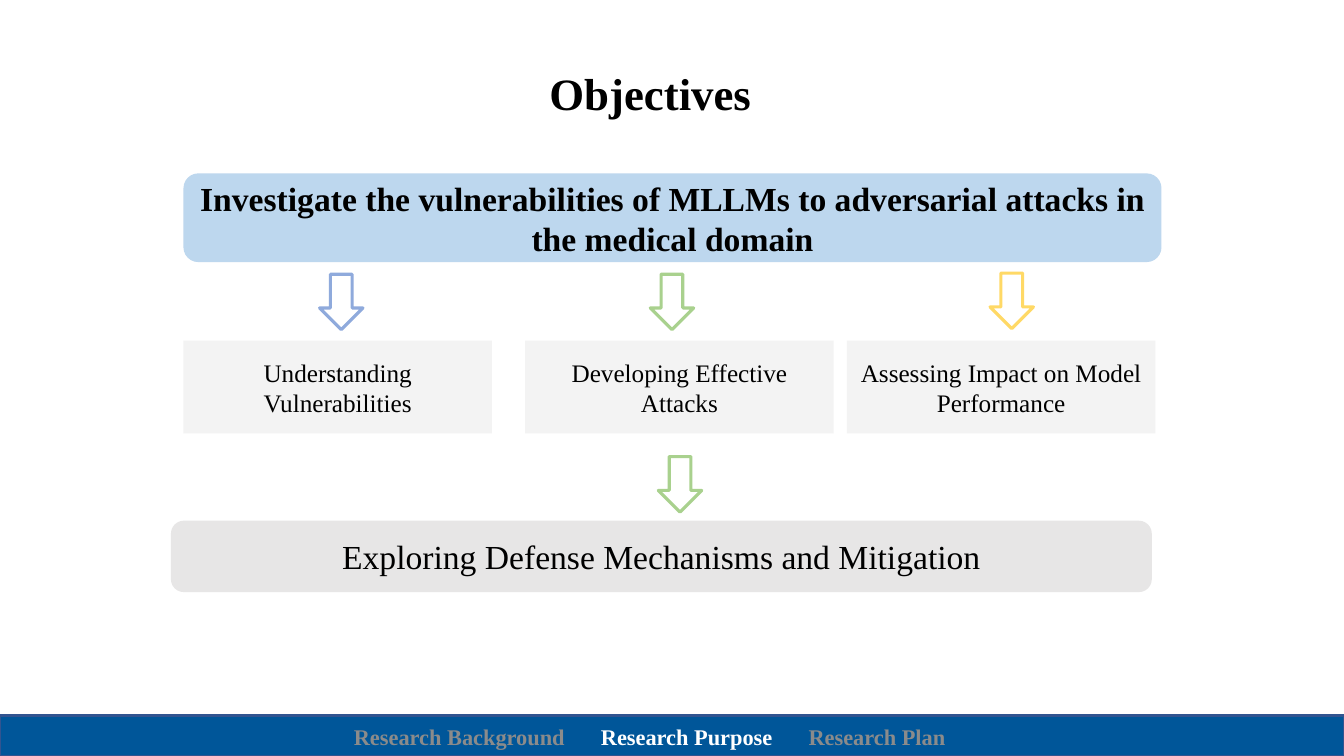
from pptx import Presentation
from pptx.dml.color import RGBColor
from pptx.enum.shapes import MSO_SHAPE as SHAPE
from pptx.enum.text import MSO_ANCHOR as ANCHOR, PP_ALIGN as ALIGN
from pptx.oxml.ns import qn
from pptx.util import Inches, Pt
from lxml import etree

FONT = "Times New Roman"
BLACK = RGBColor(0x00, 0x00, 0x00)
WHITE = RGBColor(0xFF, 0xFF, 0xFF)
MUTED = RGBColor(0x8B, 0x8B, 0x8B)
NAVY = RGBColor(0x00, 0x56, 0x99)
NAVY_LINE = RGBColor(0x32, 0x54, 0x90)
PALE_BLUE = RGBColor(0xBD, 0xD7, 0xEE)
PALE_GREY = RGBColor(0xF2, 0xF2, 0xF2)
GREY = RGBColor(0xE7, 0xE6, 0xE6)
BLUE = RGBColor(0x8F, 0xAA, 0xDC)
GREEN = RGBColor(0xA9, 0xD1, 0x8E)
YELLOW = RGBColor(0xFF, 0xD9, 0x66)


def add_shape(kind, x, y, w, h, fill=None, line=None, weight=2):
    sp = s.shapes.add_shape(kind, Inches(x), Inches(y), Inches(w), Inches(h))
    sp.shadow.inherit = False
    if fill is None:
        sp.fill.background()
    else:
        sp.fill.solid()
        sp.fill.fore_color.rgb = fill
    if line is None:
        sp.line.fill.background()
    else:
        sp.line.color.rgb = line
        sp.line.width = Pt(weight)
    return sp


def set_text(sp, text, size, bold=False):
    tf = sp.text_frame
    tf.text = text
    tf.word_wrap = True
    tf.vertical_anchor = ANCHOR.MIDDLE
    p = tf.paragraphs[0]
    p.alignment = ALIGN.CENTER
    font = p.runs[0].font
    font.name, font.size, font.bold = FONT, Pt(size), bold
    font.color.rgb = BLACK
    return p


prs = Presentation()
prs.slide_width, prs.slide_height = Inches(13.33), Inches(7.5)
s = prs.slides.add_slide(prs.slide_layouts[5])

# Footer band
add_shape(SHAPE.RECTANGLE, 0, 7.1, 13.33, 0.4, NAVY, NAVY_LINE)

# Title
title = s.shapes.title
title.left, title.top = Inches(0.73), Inches(0.58)
title.width, title.height = Inches(11.44), Inches(0.74)
set_text(title, "Objectives", 32, True).line_spacing = 0.9

# Main goal
goal = add_shape(SHAPE.ROUNDED_RECTANGLE, 1.82, 1.72, 9.7, 0.88, PALE_BLUE)
set_text(goal, "Investigate the vulnerabilities of MLLMs to adversarial "
               "attacks in the medical domain", 24, True)

# Three objectives
for x, text in [(1.82, "Understanding Vulnerabilities"),
                (5.21, "Developing Effective Attacks"),
                (8.4, "Assessing Impact on Model Performance")]:
    card = add_shape(SHAPE.RECTANGLE, x, 3.38, 3.06, 0.92, PALE_GREY)
    set_text(card, text, 18)
    color = card.fill._xPr.find(qn("a:solidFill"))[0]
    etree.SubElement(color, qn("a:alpha")).set("val", "88000")

# Defense
defense = add_shape(SHAPE.ROUNDED_RECTANGLE, 1.71, 5.18, 9.7, 0.68, GREY, GREY)
set_text(defense, "Exploring Defense Mechanisms and Mitigation", 24)

# Arrows
for x, y, color in [(3.17, 2.72, BLUE), (6.45, 2.72, GREEN),
                    (9.82, 2.71, YELLOW), (6.53, 4.53, GREEN)]:
    add_shape(SHAPE.DOWN_ARROW, x, y, 0.43, 0.55, line=color, weight=2.25)

# Footer sections, spaced by tab stops
nav = s.shapes.add_textbox(Inches(3.51), Inches(7.11), Inches(7.41), Inches(0.4))
tf = nav.text_frame
tf.word_wrap = True
tf.margin_left = 0
tf.vertical_anchor = ANCHOR.MIDDLE
p = tf.paragraphs[0]
tabs = etree.SubElement(p._p.get_or_add_pPr(), qn("a:tabLst"))
for stop in (2.45, 4.51):
    tab = etree.SubElement(tabs, qn("a:tab"))
    tab.set("pos", str(Inches(stop)))
    tab.set("algn", "l")
for text, color in [("Research Background\t", MUTED),
                    ("Research Purpose\t", WHITE),
                    ("Research Plan", MUTED)]:
    r = p.add_run()
    r.text = text
    r.font.name, r.font.size, r.font.bold = FONT, Pt(16), True
    r.font.color.rgb = color

prs.save("out.pptx")
